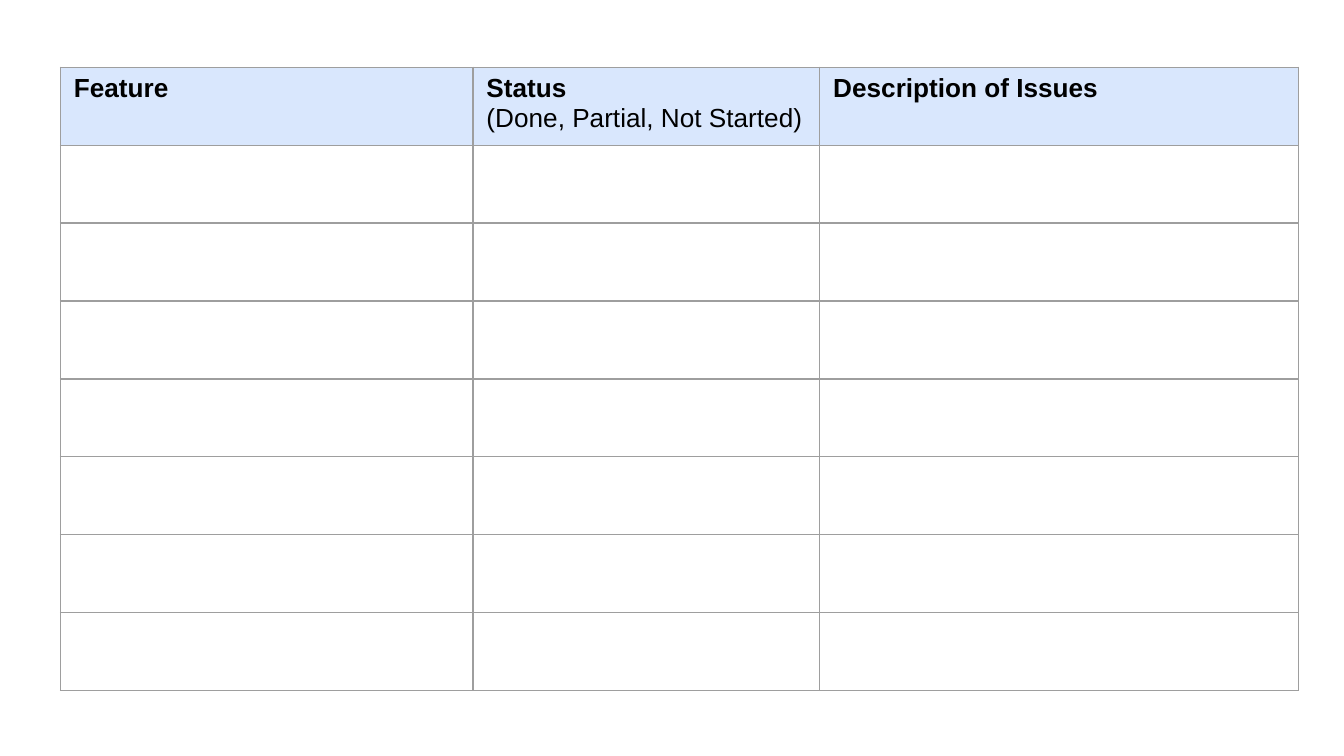
from dataclasses import dataclass

from lxml import etree
from pptx import Presentation
from pptx.dml.color import RGBColor
from pptx.enum.text import MSO_ANCHOR, PP_ALIGN
from pptx.oxml.ns import qn
from pptx.util import Emu, Pt

TOP = MSO_ANCHOR.TOP
LEFT = PP_ALIGN.LEFT
EMU_PER_PX = 4572  # 200 px to the inch
SLIDE_WIDTH, SLIDE_HEIGHT = 2000, 1125
BLANK_LAYOUT = 6


@dataclass(frozen=True)
class Theme:
    font: str = "Arial"
    text_size: int = 14
    text: str = "000000"
    background: str = "FFFFFF"
    header_fill: str = "D9E7FD"
    border: str = "9E9E9E"
    border_width: float = 0.75


THEME = Theme()

# Table content and grid
HEADERS = [
    [("Feature", True)],
    [("Status", True), ("(Done, Partial, Not Started)", False)],
    [("Description of Issues", True)],
]
COLUMN_WIDTHS = [614, 516, 712]
ROW_COUNT = 8
ROW_HEIGHT = 116
TABLE_LEFT, TABLE_TOP = 90, 100


def px(length):
    return Emu(length * EMU_PER_PX)


def write_text(paragraph, text, *, bold=False, size=THEME.text_size,
               color=THEME.text, align=LEFT):
    paragraph.alignment = align
    run = paragraph.add_run()
    run.text = text
    run.font.name = THEME.font
    run.font.size = Pt(size)
    run.font.bold = bold
    run.font.color.rgb = RGBColor.from_string(color)


def set_borders(cell):
    """Border lines must stand before the fill in the cell properties."""
    properties = cell._tc.get_or_add_tcPr()
    for index, side in enumerate(("a:lnL", "a:lnR", "a:lnT", "a:lnB")):
        line = etree.Element(qn(side), w=str(Pt(THEME.border_width)))
        fill = etree.SubElement(line, qn("a:solidFill"))
        etree.SubElement(fill, qn("a:srgbClr"), val=THEME.border)
        properties.insert(index, line)


def write_header(cell, lines):
    cell.fill.solid()
    cell.fill.fore_color.rgb = RGBColor.from_string(THEME.header_fill)
    frame = cell.text_frame
    for index, (text, bold) in enumerate(lines):
        paragraph = frame.add_paragraph() if index else frame.paragraphs[0]
        write_text(paragraph, text, bold=bold)


def add_status_table(slide):
    shape = slide.shapes.add_table(
        ROW_COUNT, len(COLUMN_WIDTHS), px(TABLE_LEFT), px(TABLE_TOP),
        px(sum(COLUMN_WIDTHS)), px(ROW_COUNT * ROW_HEIGHT))
    table = shape.table
    table.first_row = False
    table.horz_banding = False
    for column, width in zip(table.columns, COLUMN_WIDTHS):
        column.width = px(width)
    for row in table.rows:
        row.height = px(ROW_HEIGHT)

    for cell in table.iter_cells():
        cell.vertical_anchor = TOP
        cell.fill.background()
        set_borders(cell)
    for cell, lines in zip(table.rows[0].cells, HEADERS):
        write_header(cell, lines)


def main():
    presentation = Presentation()
    presentation.slide_width = px(SLIDE_WIDTH)
    presentation.slide_height = px(SLIDE_HEIGHT)
    slide = presentation.slides.add_slide(
        presentation.slide_layouts[BLANK_LAYOUT])
    slide.background.fill.solid()
    slide.background.fill.fore_color.rgb = RGBColor.from_string(
        THEME.background)
    add_status_table(slide)
    presentation.save("out.pptx")


if __name__ == "__main__":
    main()
